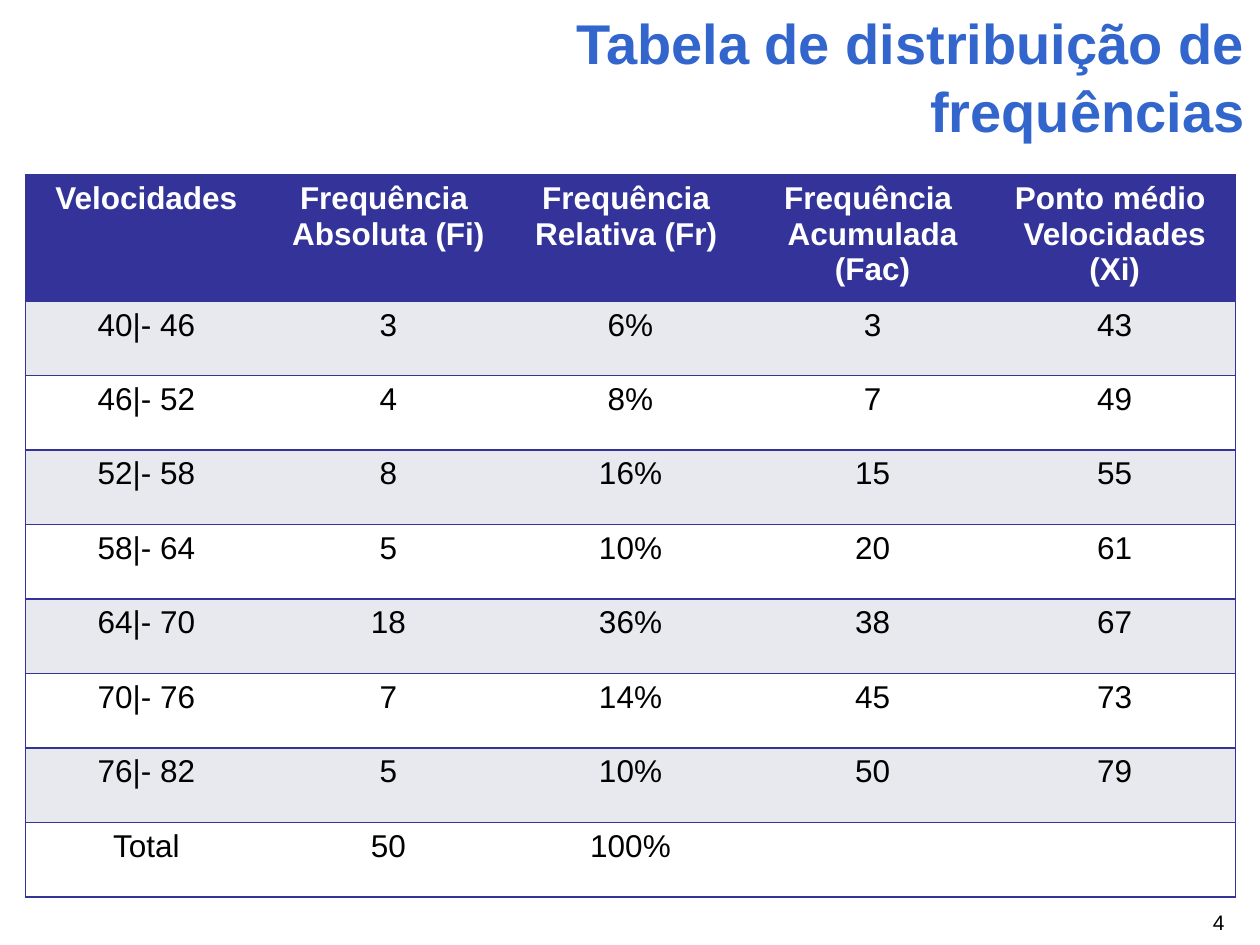
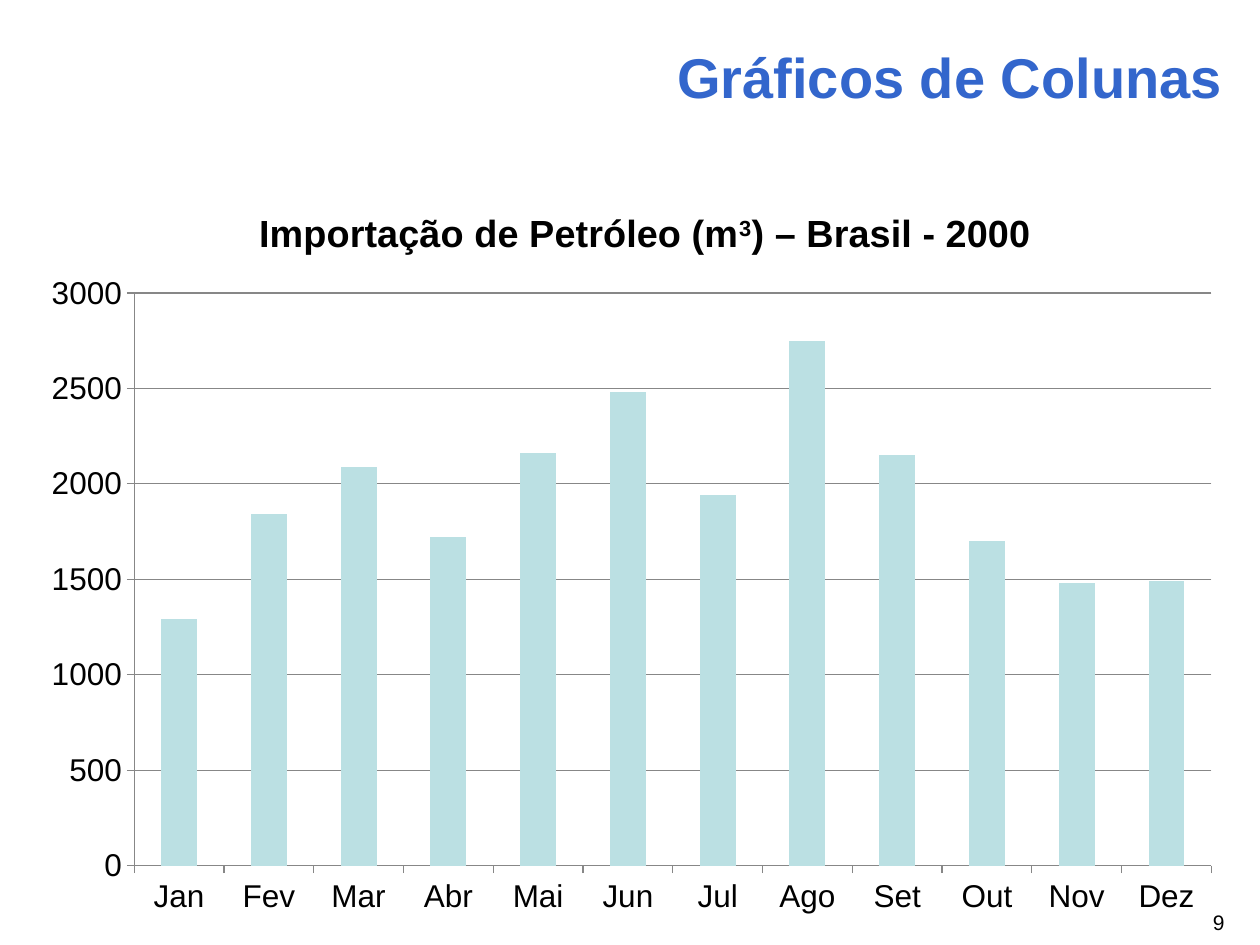
from lxml import etree
from pptx import Presentation
from pptx.chart.data import CategoryChartData
from pptx.dml.color import RGBColor
from pptx.enum.chart import XL_CHART_TYPE, XL_TICK_MARK
from pptx.enum.text import MSO_ANCHOR, MSO_AUTO_SIZE, PP_ALIGN
from pptx.oxml.ns import qn
from pptx.util import Cm, Pt

CENTER, RIGHT = PP_ALIGN.CENTER, PP_ALIGN.RIGHT
MIDDLE = MSO_ANCHOR.MIDDLE
NO_AUTOFIT = MSO_AUTO_SIZE.NONE
STACKED_COLUMNS = XL_CHART_TYPE.COLUMN_STACKED
TICK_OUTSIDE = XL_TICK_MARK.OUTSIDE

FONT = "Arial"
BLACK, WHITE = "000000", "FFFFFF"
TITLE_BLUE, TABLE_BLUE = "3366CC", "333399"
BAND_GREY, AXIS_GREY = "E8E8EF", "878787"
COLUMN_AQUA = "BBE0E3"
TITLE_ONLY_LAYOUT = 5
PLAIN_TABLE_STYLE = "{2D5ABB26-0587-4C30-8999-92F81FD0307C}"

TABLE_BOX = (0.51, 3.53, 24.4, 14.4)
CHART_BOX = (0.51, 3.73, 24.4, 15)
NUMBER_BOX = (23.77, 18.21, 1.6, 0.76)

HEADERS = [
    ["Velocidades"],
    ["Frequência ", "Absoluta (Fi)"],
    ["Frequência ", "Relativa (Fr) "],
    ["Frequência ", "Acumulada (Fac)"],
    ["Ponto médio ", "Velocidades (Xi)"],
]
FREQUENCIES = [
    ("40|- 46", "3", "6%", "3", "43"),
    ("46|- 52", "4", "8%", "7", "49"),
    ("52|- 58", "8", "16%", "15", "55"),
    ("58|- 64", "5", "10%", "20", "61"),
    ("64|- 70", "18", "36%", "38", "67"),
    ("70|- 76", "7", "14%", "45", "73"),
    ("76|- 82", "5", "10%", "50", "79"),
    ("Total", "50", "100%", "", ""),
]
MONTHS = ["Jan", "Fev", "Mar", "Abr", "Mai", "Jun",
          "Jul", "Ago", "Set", "Out", "Nov", "Dez"]
IMPORTS = [1290, 1840, 2090, 1720, 2160, 2480,
           1940, 2750, 2150, 1700, 1480, 1490]


def color(hex_code):
    return RGBColor.from_string(hex_code)


def set_font(font, size, hex_code, bold=False):
    font.name = FONT
    font.size = Pt(size)
    font.bold = bold
    font.color.rgb = color(hex_code)


def write_paragraphs(text_frame, lines, size, hex_code, bold=False, align=CENTER):
    text_frame.text = "\n".join(lines)
    for paragraph in text_frame.paragraphs:
        paragraph.alignment = align
        set_font(paragraph.font, size, hex_code, bold)


def add_titled_slide(presentation, title, title_left, number):
    slide = presentation.slides.add_slide(presentation.slide_layouts[TITLE_ONLY_LAYOUT])
    shape = slide.shapes.title
    shape.left, shape.top = Cm(title_left), Cm(0.33)
    shape.width, shape.height = Cm(20), Cm(2.41)
    write_paragraphs(shape.text_frame, [title], 32, TITLE_BLUE, True, RIGHT)
    shape.text_frame.vertical_anchor = MIDDLE
    shape.text_frame.auto_size = NO_AUTOFIT

    number_box = slide.shapes.add_textbox(*map(Cm, NUMBER_BOX))
    number_box.text_frame.word_wrap = True
    write_paragraphs(number_box.text_frame, [str(number)], 12, BLACK)
    return slide


def set_borders(cell, sides):
    """Draw 1 pt lines on the given sides, listed in the order L, R, T, B."""
    properties = cell._tc.get_or_add_tcPr()
    for position, side in enumerate(sides):
        line = etree.Element(qn(f"a:ln{side}"), w=str(Pt(1)))
        fill = etree.SubElement(line, qn("a:solidFill"))
        etree.SubElement(fill, qn("a:srgbClr"), val=TABLE_BLUE)
        properties.insert(position, line)


def add_frequency_table(slide, box):
    left, top, width, height = box
    rows = [HEADERS] + [[[text] for text in row] for row in FREQUENCIES]
    last_column = len(HEADERS) - 1
    header_height = 2.39
    table = slide.shapes.add_table(
        len(rows), len(HEADERS), Cm(left), Cm(top), Cm(width), Cm(height)).table
    table.first_row = table.horz_banding = False
    table._tbl.tblPr.find(qn("a:tableStyleId")).text = PLAIN_TABLE_STYLE

    for row_index, row in enumerate(rows):
        is_header = row_index == 0
        row_height = header_height if is_header else (height - header_height) / len(FREQUENCIES)
        table.rows[row_index].height = Cm(row_height)
        band = TABLE_BLUE if is_header else BAND_GREY if row_index % 2 else WHITE
        for column_index, lines in enumerate(row):
            cell = table.cell(row_index, column_index)
            write_paragraphs(cell.text_frame, lines, 18,
                             WHITE if is_header else BLACK, is_header)
            cell.fill.solid()
            cell.fill.fore_color.rgb = color(band)
            outer_side = {0: "L", last_column: "R"}.get(column_index, "")
            set_borders(cell, outer_side + "TB")


def set_layout(element, index, **settings):
    """Place a chart part by hand, in fractions of the chart's size."""
    for old_layout in element.findall(qn("c:layout")):
        element.remove(old_layout)
    layout = etree.Element(qn("c:layout"))
    manual = etree.SubElement(layout, qn("c:manualLayout"))
    for name, value in settings.items():
        etree.SubElement(manual, qn(f"c:{name}"), val=str(value))
    element.insert(index, layout)


def add_chart_title(chart):
    paragraph = chart.chart_title.text_frame.paragraphs[0]
    set_font(paragraph.font, 21.6, BLACK, True)
    for text in ("Importação de Petróleo (m", "3", ") – Brasil - 2000"):
        run = paragraph.add_run()
        run.text = text
        set_font(run.font, 21.6, BLACK, True)
        if text == "3":
            run.font._element.set("baseline", "30000")
    chart.chart_title.include_in_layout = False
    set_layout(chart.chart_title._element, 1, xMode="edge", yMode="edge", x=0.19, y=0.03)


def add_import_chart(slide, box):
    data = CategoryChartData()
    data.categories = MONTHS
    data.add_series("Series 1", IMPORTS)
    chart = slide.shapes.add_chart(STACKED_COLUMNS, *map(Cm, box), data).chart
    chart.has_legend = False
    set_font(chart.font, 18, BLACK)
    add_chart_title(chart)

    plot = chart.plots[0]
    plot.gap_width, plot.overlap = 150, 100
    plot.vary_by_categories = False
    series_fill = plot.series[0].format.fill
    series_fill.solid()
    series_fill.fore_color.rgb = color(COLUMN_AQUA)

    value_axis = chart.value_axis
    value_axis.minimum_scale, value_axis.maximum_scale = 0, 3000
    value_axis.major_unit = 500
    value_axis.has_major_gridlines = True
    for axis in (chart.category_axis, value_axis):
        axis.major_tick_mark = TICK_OUTSIDE
    for part in (chart.category_axis, value_axis, value_axis.major_gridlines):
        part.format.line.color.rgb = color(AXIS_GREY)
        part.format.line.width = Pt(0.75)
    plot_area = chart._chartSpace.chart.plotArea
    set_layout(plot_area, 0, layoutTarget="inner", xMode="edge", yMode="edge",
               x=0.09, y=0.145, w=0.89, h=0.77)


def main():
    presentation = Presentation()
    presentation.slide_width, presentation.slide_height = Cm(25.4), Cm(19.05)
    table_slide = add_titled_slide(
        presentation, "Tabela de distribuição de frequências", 5.35, 4)
    add_frequency_table(table_slide, TABLE_BOX)
    chart_slide = add_titled_slide(presentation, "Gráficos de Colunas", 4.9, 9)
    add_import_chart(chart_slide, CHART_BOX)
    presentation.save("out.pptx")


if __name__ == "__main__":
    main()
